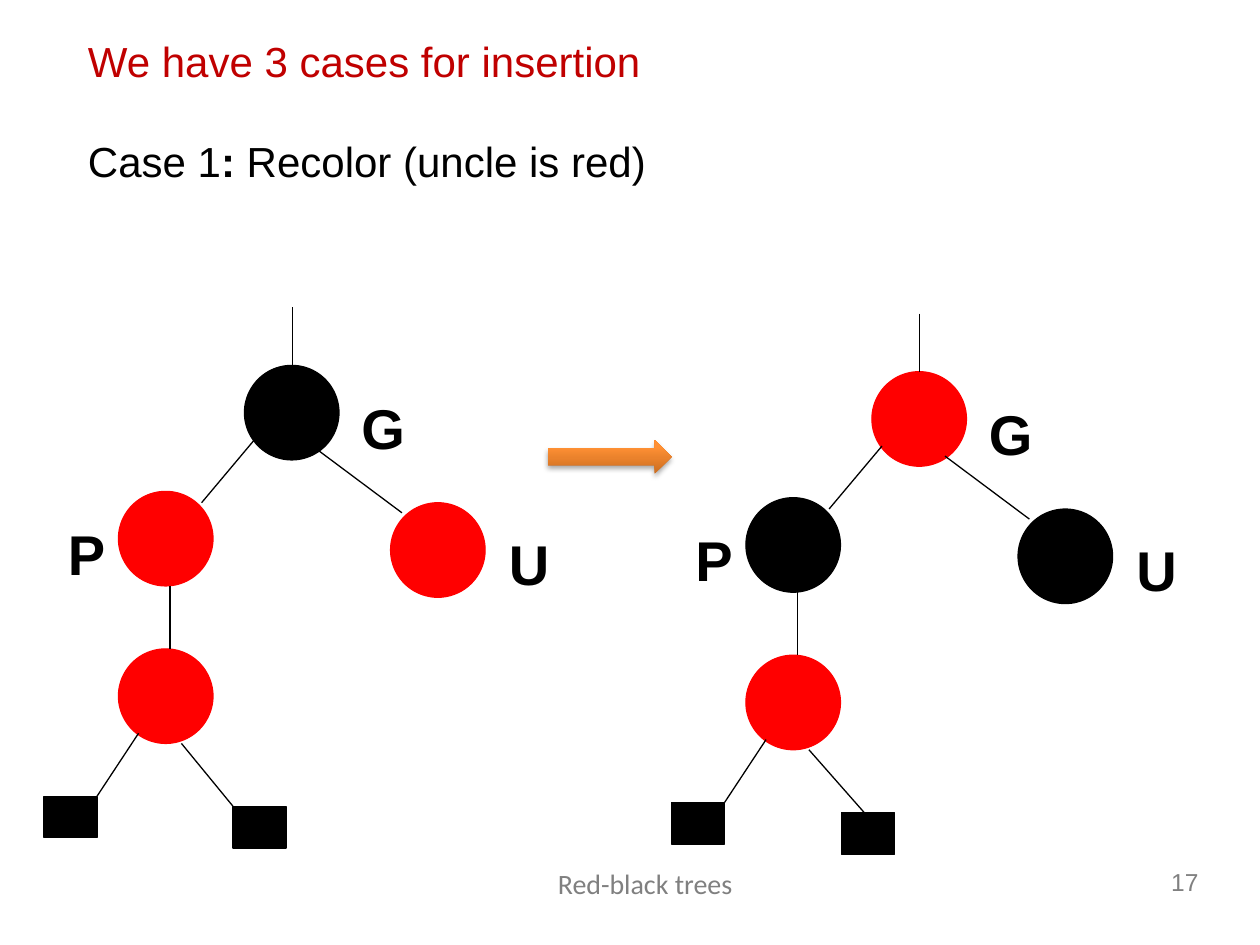
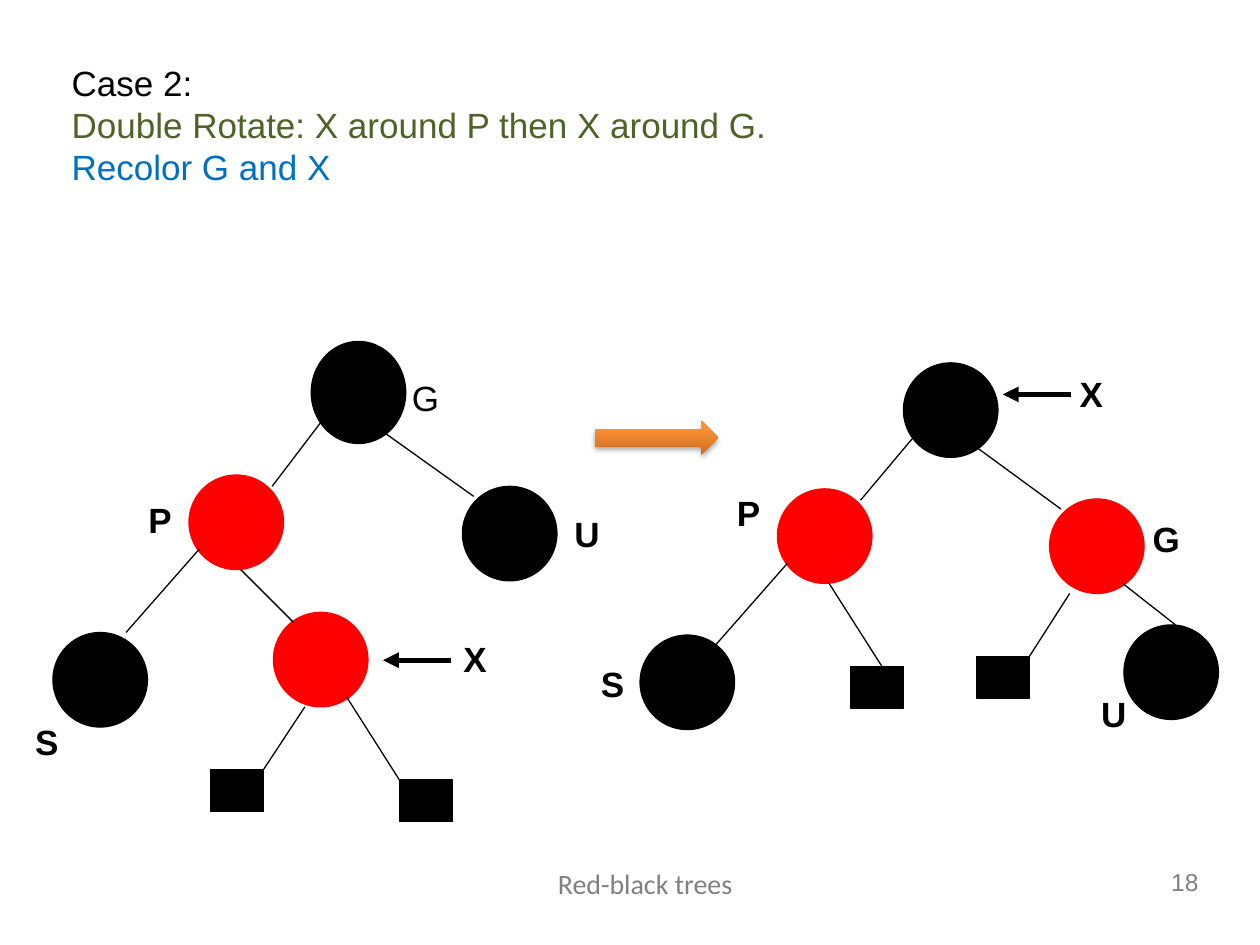
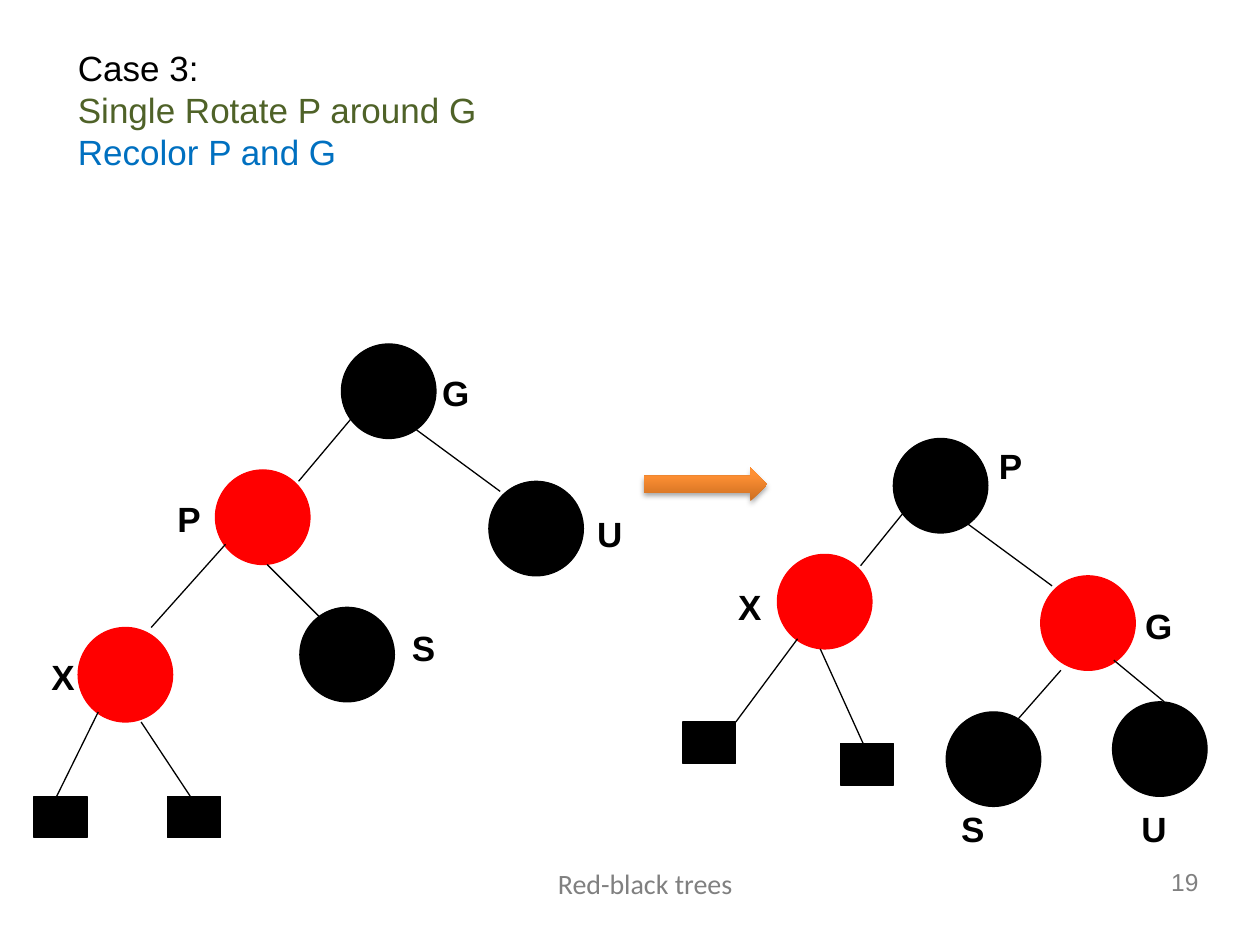
import pptx
import pptx.util
import pptx.oxml
import pptx.oxml.ns
from pptx.dml.color import RGBColor
from pptx.enum.shapes import MSO_CONNECTOR, MSO_SHAPE
from pptx.enum.text import PP_ALIGN
from pptx.util import Inches

BLACK = RGBColor(0, 0, 0)
RED = RGBColor(0xFF, 0, 0)
DARK_RED = RGBColor(0xC0, 0, 0)
GREEN = RGBColor(0x4F, 0x62, 0x28)
BLUE = RGBColor(0, 0x70, 0xC0)
GRAY = RGBColor(0x80, 0x80, 0x80)

FOOTER = "Red-black trees"
FIRST_NUMBER = 17
NODE = 0.75
LEAF_WIDTH, LEAF_HEIGHT = 0.42, 0.33

# Where edges touch a node or a leaf, measured from its top-left corner
NODE_PORTS = {
    "n": (0.41, 0), "nne": (0.58, 0), "ne": (0.66, 0.09), "ene": (0.59, 0.09),
    "nw": (0.09, 0.08), "nnw": (0.16, 0.08), "inside": (0.33, 0.33),
    "s": (0.41, 0.75), "sse": (0.5, 0.75), "se": (0.58, 0.67), "sw": (0.08, 0.59),
    "ssw": (0.16, 0.67), "under_left": (0.16, 0.75), "under_mid": (0.34, 0.75),
    "under": (0.25, 0.75), "top": (0.38, 0), "above": (0.38, -0.46),
}
LEAF_PORTS = {"nw": (0, 0), "ne": (LEAF_WIDTH, 0), "n": (0.18, 0), "nne": (0.25, 0)}


def case_1_tree(dx, dy, top_color, child_color, right_leaf):
    """Tree of case 1, moved as a whole; recoloring swaps the two colors."""
    return {
        "nodes": {"G": (1.94 + dx, 2.9 + dy, top_color),
                  "P": (0.94 + dx, 3.9 + dy, child_color),
                  "U": (3.1 + dx, 3.99 + dy, child_color),
                  "X": (0.94 + dx, 5.15 + dy, RED)},
        "leaves": {"L": (0.35 + dx, 6.32 + dy), "R": (right_leaf, 6.4 + dy)},
        "labels": [("P", 0.44 + dx, 4.07 + dy, 0.42),
                   ("G", 2.77 + dx, 3.07 + dy, 0.58),
                   ("U", 3.94 + dx, 4.15 + dy, 0.42)],
    }


CASE_1_EDGES = "G.above G.top, G.sw P.ne, G.se U.nw, P.s X.n, X.ssw L.ne, "

CASES = [
    {
        "title": [[("We have 3 cases for insertion", DARK_RED, False)],
                  [("Case 1", BLACK, False), (": ", BLACK, True),
                   ("Recolor (uncle is red)", BLACK, False)]],
        "title_at": (0.6, 0.23, 8, 1.62), "title_size": 24, "title_gap": 28.8,
        "label_size": 32, "arrow_at": (4.35, 3.49),
        "trees": [
            case_1_tree(0, 0, BLACK, RED, 1.85)
            | {"edges": CASE_1_EDGES + "X.sse R.nw"},
            case_1_tree(4.98, 0.05, RED, BLACK, 6.68)
            | {"edges": CASE_1_EDGES + "X.sse R.n"},
        ],
    },
    {
        "title": [[("Case 2:", BLACK, False)],
                  [("Double Rotate: X around P then X around G.", GREEN, False)],
                  [("Recolor G and X", BLUE, False)]],
        "title_at": (0.47, 0.44, 8.67, 1.11), "title_size": 20, "title_gap": 0,
        "label_size": 20, "arrow_at": (4.72, 3.34),
        "trees": [
            {
                "nodes": {"G": (2.47, 2.71, BLACK, 0.81), "P": (1.5, 3.77, RED),
                          "U": (3.67, 3.86, BLACK), "X": (2.17, 4.86, RED),
                          "S": (0.42, 5.02, BLACK)},
                "leaves": {"L": (1.67, 6.11), "R": (3.17, 6.19)},
                "edges": "G.sw P.ne, G.se U.nw, P.sw S.nne, P.s X.nnw, "
                         "X.under L.ne, X.se R.nw",
                "labels": [("X", 3.58, 5.01, 0.75), ("P", 1.08, 3.91, 0.42),
                           ("G", 3.17, 2.94, 0.58, False), ("U", 4.46, 4.02, 0.42),
                           ("S", 0.18, 5.67, 0.58)],
                "pointer": (3.58, 5.24),
            },
            {
                "nodes": {"X": (7.17, 2.88, BLACK), "P": (6.17, 3.88, RED),
                          "G": (8.33, 3.96, RED), "U": (8.92, 4.96, BLACK),
                          "S": (5.08, 5.04, BLACK)},
                "leaves": {"L": (7.75, 5.21), "R": (6.75, 5.29)},
                "edges": "X.sw P.ne, X.se G.nw, G.se U.n, G.under_left L.ne, "
                         "P.s R.nne, P.sw S.ene",
                "labels": [("X", 8.47, 2.91, 0.75), ("P", 5.75, 3.85, 0.42),
                           ("G", 9.05, 4.06, 0.42), ("S", 4.67, 5.21, 0.42),
                           ("U", 8.64, 5.45, 0.42)],
                "pointer": (8.5, 3.13),
            },
        ],
    },
    {
        "title": [[("Case 3:", BLACK, False)],
                  [("Single Rotate P around G", GREEN, False)],
                  [("Recolor P and G", BLUE, False)]],
        "title_at": (0.52, 0.32, 8.67, 1.11), "title_size": 20, "title_gap": 0,
        "label_size": 20, "arrow_at": (5.11, 3.71),
        "trees": [
            {
                "nodes": {"G": (2.71, 2.73, BLACK), "P": (1.71, 3.73, RED),
                          "U": (3.88, 3.82, BLACK), "S": (2.38, 4.82, BLACK),
                          "X": (0.62, 4.98, RED)},
                "leaves": {"L": (0.27, 6.32), "R": (1.33, 6.32)},
                "edges": "G.sw P.ne, G.se U.nw, P.s S.nnw, P.sw X.nne, "
                         "X.ssw L.n, X.sse R.n",
                "labels": [("X", 0.31, 5.15, 0.75), ("P", 1.31, 3.9, 0.42),
                           ("G", 3.41, 2.9, 0.58), ("U", 4.64, 4.02, 0.42),
                           ("S", 3.17, 4.92, 0.58)],
            },
            {
                "nodes": {"P": (7.09, 3.48, BLACK), "X": (6.17, 4.4, RED),
                          "G": (8.26, 4.57, RED), "U": (8.83, 5.57, BLACK),
                          "S": (7.51, 5.65, BLACK)},
                "leaves": {"L": (5.42, 5.73), "R": (6.67, 5.9)},
                "edges": "P.sw X.ne, P.se G.nw, G.se U.n, G.under_left S.inside, "
                         "X.ssw L.ne, X.under_mid R.n",
                "labels": [("P", 7.83, 3.48, 0.75), ("X", 5.76, 4.6, 0.42),
                           ("G", 8.99, 4.75, 0.42), ("S", 7.53, 6.36, 0.42),
                           ("U", 8.96, 6.36, 0.42)],
            },
        ],
    },
]


def drawing_xml(xml):
    namespace = pptx.oxml.ns.nsdecls("a")
    return pptx.oxml.parse_xml(xml.replace(" NS", " " + namespace, 1))


def add_text(slide, box, lines, size, font="Arial", align=PP_ALIGN.LEFT,
             leading=1.2, gap=0):
    """Each line is a list of (text, color, bold) runs."""
    frame = slide.shapes.add_textbox(*map(Inches, box)).text_frame
    frame.word_wrap = True
    for index, runs in enumerate(lines):
        paragraph = frame.paragraphs[0] if index == 0 else frame.add_paragraph()
        paragraph.alignment = align
        paragraph.font.name = font
        paragraph.font.size = pptx.util.Pt(size)
        if leading:
            paragraph.line_spacing = pptx.util.Pt(size * leading)
        if index and gap:
            paragraph.space_before = pptx.util.Pt(gap)
        same_style = len({run[1:] for run in runs}) == 1
        for text, color, bold in runs:
            run = paragraph.add_run()
            run.text = text
            font_owner = paragraph if same_style else run
            font_owner.font.color.rgb = color
            font_owner.font.bold = bold


def add_solid(slide, kind, x, y, width, height, color):
    shape = slide.shapes.add_shape(kind, *map(Inches, (x, y, width, height)))
    shape.shadow.inherit = False
    shape.fill.solid()
    shape.fill.fore_color.rgb = color
    shape.line.color.rgb = color
    shape.line.width = pptx.util.Pt(0.75)


def add_line(slide, start, end, width=0.75, arrow=False):
    line = slide.shapes.add_connector(MSO_CONNECTOR.STRAIGHT,
                                      *map(Inches, (*start, *end)))
    line.line.color.rgb = BLACK
    line.line.width = pptx.util.Pt(width)
    if arrow:
        line.line._get_or_add_ln().append(drawing_xml('<a:tailEnd NS type="triangle"/>'))
    line._element.spPr.append(drawing_xml("<a:effectLst NS/>"))


def add_step_arrow(slide, x, y):
    """Orange block arrow between the trees before and after."""
    arrow = slide.shapes.add_shape(MSO_SHAPE.RIGHT_ARROW,
                                   *map(Inches, (x, y, 0.98, 0.27)))
    arrow.line.fill.background()
    stops = "".join(f'<a:gs pos="{at * 1000}"><a:srgbClr val="{color}"/></a:gs>'
                    for at, color in ((0, "CC6E20"), (80, "FF9034"), (100, "FF9136")))
    properties = arrow._element.spPr
    properties.insert(2, drawing_xml(
        f'<a:gradFill NS rotWithShape="1"><a:gsLst>{stops}</a:gsLst>'
        '<a:lin ang="16200000" scaled="0"/></a:gradFill>'))
    properties.append(drawing_xml(
        '<a:effectLst NS><a:outerShdw blurRad="39370" dist="22860" dir="5400000" '
        'rotWithShape="0"><a:srgbClr val="000000"><a:alpha val="35000"/></a:srgbClr>'
        '</a:outerShdw></a:effectLst>'))


def port_position(tree, end):
    """Turn an edge end such as G.sw into a point on the slide."""
    name, port = end.split(".")
    if name in tree["leaves"]:
        x, y = tree["leaves"][name]
        dx, dy = LEAF_PORTS[port]
        return x + dx, y + dy
    x, y, _, *height = tree["nodes"][name]
    dx, dy = NODE_PORTS[port]
    return x + dx, y + dy * (height[0] if height else NODE) / NODE


def add_tree(slide, tree, label_size):
    for x, y, color, *height in tree["nodes"].values():
        add_solid(slide, MSO_SHAPE.OVAL, x, y, NODE, height[0] if height else NODE, color)
    for x, y in tree["leaves"].values():
        add_solid(slide, MSO_SHAPE.RECTANGLE, x, y, LEAF_WIDTH, LEAF_HEIGHT, BLACK)
    for edge in tree["edges"].split(", "):
        add_line(slide, *(port_position(tree, end) for end in edge.split()))
    for text, x, y, width, *bold in tree["labels"]:
        add_text(slide, (x, y, width, label_size * 1.2 / 72 + 0.1),
                 [[(text, BLACK, bold[0] if bold else True)]], label_size)
    if "pointer" in tree:
        x, y = tree["pointer"]
        add_line(slide, (x, y), (x - 0.54, y), 3, arrow=True)


def add_footer(slide, number):
    add_text(slide, (9.17, 6.83, 0.44, 0.33), [[(str(number), GRAY, False)]], 14,
             align=PP_ALIGN.RIGHT)
    add_text(slide, (1.93, 6.83, 6.38, 0.4), [[(FOOTER, GRAY, False)]], 16,
             font="Calibri", align=PP_ALIGN.CENTER, leading=None)


def main():
    deck = pptx.Presentation()
    deck.slide_width, deck.slide_height = Inches(10), Inches(7.5)
    for number, case in enumerate(CASES, FIRST_NUMBER):
        slide = deck.slides.add_slide(deck.slide_layouts[6])
        add_footer(slide, number)
        add_text(slide, case["title_at"], case["title"], case["title_size"],
                 gap=case["title_gap"])
        for tree in case["trees"]:
            add_tree(slide, tree, case["label_size"])
        add_step_arrow(slide, *case["arrow_at"])
    deck.save("out.pptx")


if __name__ == "__main__":
    main()
